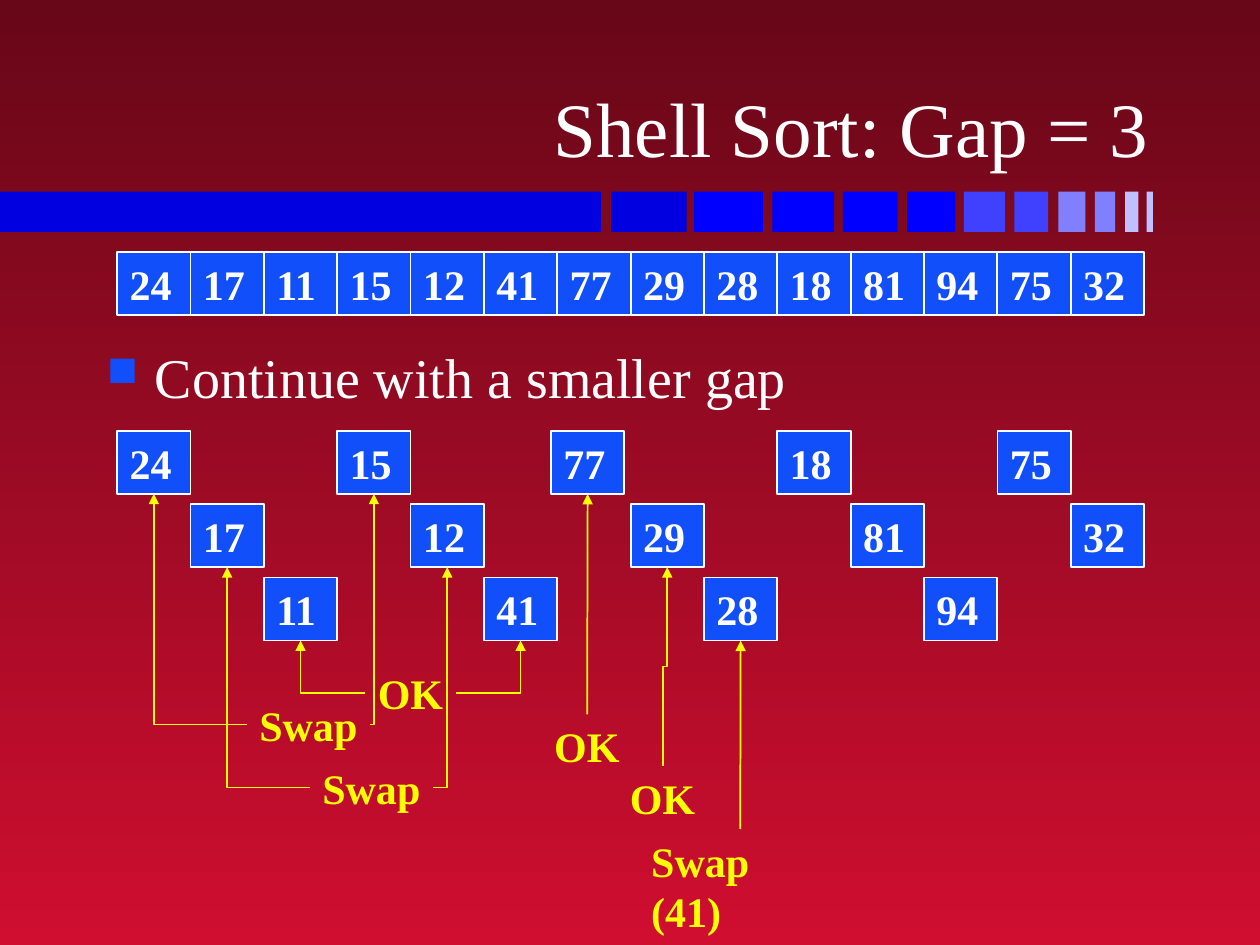
from lxml import etree
from pptx import Presentation
from pptx import util as u
from pptx.dml.color import RGBColor
from pptx.enum import shapes, text
from pptx.oxml.ns import qn

FONT = "Times New Roman"
WHITE, YELLOW, BLUE = "FFFFFF", "FFFF00", "114FFB"
TITLE = "Shell Sort: Gap = 3"
BULLET = "Continue with a smaller gap"
VALUES = [24, 17, 11, 15, 12, 41, 77, 29, 28, 18, 81, 94, 75, 32]
GAP = 3
NUDGED = {6: -0.05}
LONG_BAR = (0, 4.77, "0000E0")
BAR_LEFTS = [4.85, 5.51, 6.13, 6.69, 7.2, 7.65, 8.05, 8.4, 8.69, 8.93, 9.1]
BAR_COLORS = ["0000E0"] + ["0000FF"] * 4 + ["4040FF"] * 2 + ["8080FF"] * 2 + ["C0C0FF"] * 2
NOTES = [
    ("Swap", 1.96, 5.5, 0.98, [0, 3]),
    ("Swap", 2.46, 6, 0.98, [1, 4]),
    ("OK", 2.9, 5.25, 0.72, [2, 5]),
    ("OK", 4.3, 5.67, 0.72, [6]),
    ("OK", 4.9, 6.08, 0.72, [7]),
    ("Swap (41)", 5.07, 6.58, 1.61, [8]),
]
LEFT, COL, CELL_H = 0.93, 8.15 / len(VALUES), 0.5
ARRAY_TOP, GROUP_TOP = 2, 3.42

prs = Presentation()
prs.slide_width, prs.slide_height = u.Inches(10), u.Inches(7.5)
s = prs.slides.add_slide(prs.slide_layouts[6])


def rgb(value):
    """Turn a hex string into a colour."""
    return RGBColor.from_string(value)


def sub(parent, tag, **attrs):
    """Append a DrawingML element."""
    return etree.SubElement(parent, qn(tag), **attrs)


def write(sp, content, size=24, color=WHITE, bold=False, wrap=False, bullet=None,
          align=text.PP_ALIGN.LEFT, anchor=text.MSO_ANCHOR.TOP):
    """Put one formatted paragraph into a shape."""
    tf = sp.text_frame
    tf.word_wrap, tf.vertical_anchor = wrap, anchor
    p = tf.paragraphs[0]
    p.alignment = align
    if bullet:
        pPr = p._p.get_or_add_pPr()
        pPr.set("marL", str(u.Inches(0.38)))
        pPr.set("indent", str(u.Inches(-0.38)))
        sub(sub(pPr, "a:buClr"), "a:srgbClr", val=bullet)
        sub(pPr, "a:buSzPct", val="75000")
        sub(pPr, "a:buChar", char="■")
    r = p.add_run()
    r.text = content
    r.font.name, r.font.size, r.font.bold = FONT, u.Pt(size), bold
    r.font.color.rgb = rgb(color)
    return sp


def textbox(x, y, w, h, content, **fmt):
    """Add a text box."""
    return write(s.shapes.add_textbox(*map(u.Inches, (x, y, w, h))), content, **fmt)


def rect(x, y, w, h, fill, line=None):
    """Add a flat rectangle."""
    sp = s.shapes.add_shape(shapes.MSO_SHAPE.RECTANGLE, *map(u.Inches, (x, y, w, h)))
    sp.shadow.inherit = False
    sp.fill.solid()
    sp.fill.fore_color.rgb = rgb(fill)
    if line:
        sp.line.color.rgb, sp.line.width = rgb(line), u.Pt(1)
    else:
        sp.line.fill.background()
    return sp


def cell(x, y, value):
    """Add one array element."""
    return write(rect(x, y, COL, CELL_H, BLUE, WHITE), str(value), bold=True,
                 anchor=text.MSO_ANCHOR.MIDDLE)


def arrow(kind, *ends):
    """Add a yellow connector with an arrowhead at its end."""
    c = s.shapes.add_connector(kind, *map(u.Emu, ends))
    c.line.color.rgb, c.line.width = rgb(YELLOW), u.Pt(1)
    sub(c.line._get_or_add_ln(), "a:tailEnd", type="triangle")
    sub(c._element.spPr, "a:effectLst")
    return c


def side_arrow(label, target):
    """Run sideways from a label, then up to the cell."""
    x, y = target.left + target.width // 2, target.top + target.height
    start = label.left if x < label.left + label.width // 2 else label.left + label.width
    c = arrow(shapes.MSO_CONNECTOR.ELBOW, start, label.top + label.height // 2, x, y)
    c._element.spPr.find(qn("a:prstGeom")).set("prst", "bentConnector2")


def up_arrow(label, target):
    """Run up from a label to the cell, with a jog if they are out of line."""
    x0, x1 = (sp.left + sp.width // 2 for sp in (label, target))
    y0, y1 = label.top, target.top + target.height
    if abs(x1 - x0) < u.Inches(0.01):
        c = arrow(shapes.MSO_CONNECTOR.STRAIGHT, x0, y0, x1, y1)
        c.begin_connect(label, 0)
        c.end_connect(target, 2)
        return
    rise, run = y0 - y1, x1 - x0
    x, y = (x0 + x1 - rise) // 2, (y0 + y1 - run) // 2
    c = arrow(shapes.MSO_CONNECTOR.ELBOW, x + rise, y + run, x, y)
    c._element.spPr.find(qn("a:xfrm")).set("rot", "5400000")


bg = s.background.fill
bg.gradient()
bg.gradient_angle = 270
for stop, color in zip(bg.gradient_stops, ("670718", "CF0E30")):
    stop.color.rgb = rgb(color)

bars = [(x, 0.6 - 0.55 * i / 10, c) for i, (x, c) in enumerate(zip(BAR_LEFTS, BAR_COLORS))]
for x, w, color in [LONG_BAR] + bars:
    rect(x, 1.52, w, 0.32, color)

textbox(0.74, 0.19, 8.48, 1.23, TITLE, size=44, wrap=True,
        align=text.PP_ALIGN.RIGHT, anchor=text.MSO_ANCHOR.BOTTOM)
textbox(0.75, 2.67, 8.5, 4, BULLET, size=32, wrap=True, bullet=BLUE)

for i, value in enumerate(VALUES):
    cell(LEFT + i * COL, ARRAY_TOP, value)
grouped = [cell(LEFT + i * COL + NUDGED.get(i, 0), GROUP_TOP + i % GAP * COL, value)
           for i, value in enumerate(VALUES)]

for content, x, y, w, targets in NOTES:
    label = textbox(x, y, w, CELL_H, content, color=YELLOW, bold=True)
    connect = side_arrow if len(targets) == 2 else up_arrow
    for i in targets:
        connect(label, grouped[i])

prs.save("out.pptx")
